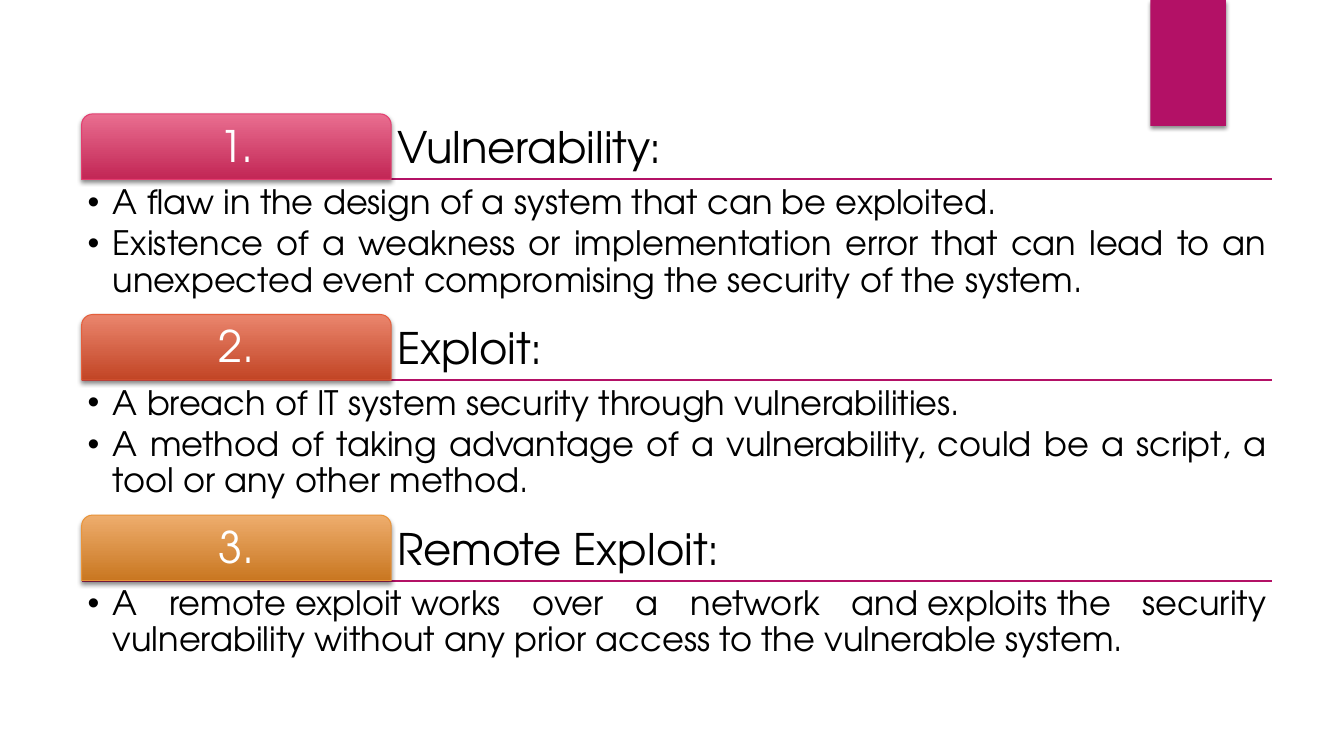
from lxml.etree import SubElement
from pptx import Presentation
from pptx.dml.color import RGBColor
from pptx.enum.shapes import MSO_CONNECTOR, MSO_SHAPE
from pptx.enum.text import MSO_ANCHOR as Anchor, PP_ALIGN as Align
from pptx.oxml.ns import qn
from pptx.util import Inches, Pt

FONT = "TeX Gyre Adventor"
BLACK = RGBColor(0x00, 0x00, 0x00)
WHITE = RGBColor(0xFF, 0xFF, 0xFF)
MAGENTA = RGBColor(0xB3, 0x11, 0x66)

# Top, bottom and outline colour of each number tab
PINK = (RGBColor(0xE9, 0x6E, 0x90), RGBColor(0xC2, 0x26, 0x55), RGBColor(0xE3, 0x3D, 0x6F))
RED = (RGBColor(0xEA, 0x85, 0x6D), RGBColor(0xC2, 0x45, 0x25), RGBColor(0xE4, 0x5F, 0x3C))
ORANGE = (RGBColor(0xEE, 0xAD, 0x6D), RGBColor(0xC9, 0x77, 0x21), RGBColor(0xE9, 0x94, 0x3A))

LEFT, WIDTH = 0.81, 11.81
TAB_WIDTH, TAB_HEIGHT = 3.07, 0.65
BODY_HEIGHT = 1.3
FIRST_TOP, PITCH = 1.13, 1.99

SECTIONS = [
    ("Vulnerability:", PINK, [
        "A flaw in the design of a system that can be exploited.",
        "Existence of a weakness or implementation error that can lead to an "
        "unexpected event compromising the security of the system.",
    ]),
    ("Exploit:", RED, [
        "A breach of IT system security through vulnerabilities.",
        "A method of taking advantage of a vulnerability, could be a script, "
        "a tool or any other method.",
    ]),
    ("Remote Exploit:", ORANGE, [
        "A remote\u00a0exploit\u00a0works over a network and\u00a0exploits\u00a0the "
        "security vulnerability without any prior access to the vulnerable system.",
    ]),
]


def add_shadow(shape):
    shape.shadow.inherit = False
    effects = shape._element.spPr.find(qn("a:effectLst"))
    shadow = SubElement(effects, qn("a:outerShdw"), blurRad=str(Pt(3)),
                        dist=str(Pt(2)), dir="5400000", rotWithShape="0")
    color = SubElement(shadow, qn("a:srgbClr"), val="000000")
    SubElement(color, qn("a:alpha"), val="45000")


def add_bullet(para):
    props = para._p.get_or_add_pPr()
    props.set("marL", str(Inches(0.25)))
    props.set("indent", str(Inches(-0.25)))
    SubElement(props, qn("a:buFont"), typeface="Arial")
    SubElement(props, qn("a:buChar"), char="•")


def write_text(shape, lines, size, color, align, anchor, after, bullets=False):
    """Fill a shape with paragraphs; after is the space below, in percent."""
    frame = shape.text_frame
    frame.word_wrap = True
    frame.vertical_anchor = anchor
    frame.margin_left = frame.margin_right = Inches(0.06)
    frame.margin_top = frame.margin_bottom = Inches(0.06)
    frame.text = "\n".join(lines)
    for para in frame.paragraphs:
        para.alignment = align
        para.line_spacing = 0.9
        para.font.name = FONT
        para.font.size = Pt(size)
        para.font.color.rgb = color
        props = para._p.get_or_add_pPr()
        spacing = props.makeelement(qn("a:spcAft"))
        SubElement(spacing, qn("a:spcPct"), val=str(after * 1000))
        props.find(qn("a:lnSpc")).addnext(spacing)
        # Bullet elements precede the default run properties
        if bullets:
            add_bullet(para)
            props.append(props.find(qn("a:defRPr")))


def add_box(page, left, top, width, height):
    return page.shapes.add_textbox(Inches(left), Inches(top), Inches(width), Inches(height))


def add_corner_block(page):
    block = page.shapes.add_shape(MSO_SHAPE.RECTANGLE, Inches(11.41), 0,
                                  Inches(0.75), Inches(1.25))
    block.fill.solid()
    block.fill.fore_color.rgb = MAGENTA
    block.line.fill.background()
    add_shadow(block)


def add_rule(page, top):
    rule = page.shapes.add_connector(MSO_CONNECTOR.STRAIGHT, Inches(LEFT), Inches(top),
                                     Inches(LEFT + WIDTH), Inches(top))
    rule.line.color.rgb = MAGENTA
    rule.line.width = Pt(1.5)
    SubElement(rule._element.spPr, qn("a:effectLst"))


def add_number_tab(page, top, number, colors):
    tab = page.shapes.add_shape(MSO_SHAPE.ROUND_2_SAME_RECTANGLE, Inches(LEFT), Inches(top),
                                Inches(TAB_WIDTH), Inches(TAB_HEIGHT))
    upper, lower, outline = colors
    tab.fill.gradient()
    tab.fill.gradient_angle = 270
    for stop, color in zip(tab.fill.gradient_stops, (upper, lower)):
        stop.color.rgb = color
    tab.line.color.rgb = outline
    tab.line.width = Pt(0.75)
    add_shadow(tab)
    write_text(tab, [f"{number}."], 31, WHITE, Align.CENTER, Anchor.MIDDLE, 35)


def add_section(page, top, number, heading, colors, points):
    body_top = top + TAB_HEIGHT
    add_rule(page, body_top)
    add_number_tab(page, top, number, colors)
    title = add_box(page, LEFT + TAB_WIDTH, top, WIDTH - TAB_WIDTH, TAB_HEIGHT)
    write_text(title, [heading], 31, BLACK, Align.LEFT, Anchor.BOTTOM, 35)
    body = add_box(page, LEFT, body_top, WIDTH, BODY_HEIGHT)
    write_text(body, points, 24, BLACK, Align.JUSTIFY, Anchor.TOP, 15, bullets=True)


def main():
    deck = Presentation()
    deck.slide_width, deck.slide_height = Inches(13.33), Inches(7.5)
    page = deck.slides.add_slide(deck.slide_layouts[6])
    add_corner_block(page)
    for index, (heading, colors, points) in enumerate(SECTIONS):
        add_section(page, FIRST_TOP + index * PITCH, index + 1, heading, colors, points)
    deck.save("out.pptx")


main()
